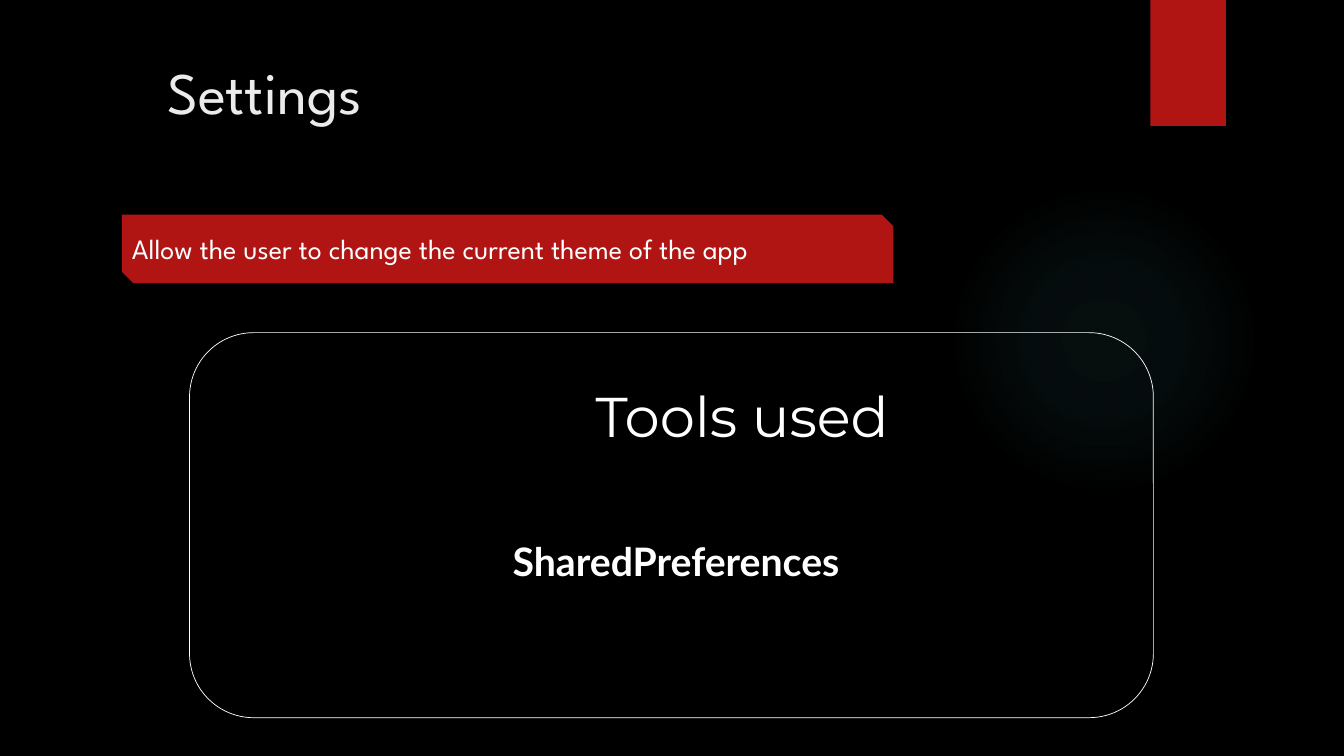
from dataclasses import dataclass
from typing import Optional

from lxml import etree
from pptx import Presentation
from pptx.dml.color import RGBColor
from pptx.enum import shapes, text
from pptx.oxml import ns
from pptx.util import Inches, Pt

HUES = {"night": "000000", "red": "B01513", "glow": "50B9C1",
        "white": "FFFFFF", "pale": "EBEBEB"}
GLOW = ((0, 7), (36, 6), (69, 0))  # stop position and opacity, in percent
KIND = shapes.MSO_SHAPE
Box = tuple[float, float, float, float]


@dataclass
class Form:
    kind: KIND
    box: Box
    fill: Optional[str] = None
    line: Optional[str] = None


@dataclass
class Label:
    words: str
    box: Box
    size: int
    font: str
    hue: str = "white"
    bold: bool = False
    align: text.PP_ALIGN = text.PP_ALIGN.LEFT


HALO = Form(KIND.OVAL, (9.41, 1.83, 3.08, 3.08))
FORMS = [
    Form(KIND.RECTANGLE, (11.41, 0, 0.75, 1.25), fill="red"),
    Form(KIND.SNIP_2_DIAG_RECTANGLE, (1.21, 2.13, 7.65, 0.68), fill="red"),
    Form(KIND.ROUNDED_RECTANGLE, (1.88, 3.3, 9.56, 3.82), line="white"),
]
LABELS = [
    Label("Settings", (1.56, 0.5, 10.29, 1.53), 42, "League Spartan", "pale"),
    Label("Allow the user to change the current theme of the app",
          (1.21, 2.25, 9.78, 0.56), 20, "League Spartan"),
    Label("Tools used", (5.81, 3.74, 4.42, 0.77), 40, "Montserrat"),
    Label("SharedPreferences", (3.74, 5.28, 5.93, 1.04), 28, "Lato",
          bold=True, align=text.PP_ALIGN.CENTER),
]


def tint(name: str) -> RGBColor:
    return RGBColor.from_string(HUES[name])


def draw(slide, form: Form):
    shape = slide.shapes.add_shape(form.kind, *map(Inches, form.box))
    shape.shadow.inherit = False
    if form.fill:
        shape.fill.solid()
        shape.fill.fore_color.rgb = tint(form.fill)
    else:
        shape.fill.background()
    if form.line:
        shape.line.color.rgb = tint(form.line)
        shape.line.width = Pt(0.5)
    else:
        shape.line.fill.background()
    return shape


def glow(shape) -> None:
    """Swap the empty fill for a radial gradient that fades outward."""
    old = shape.element.spPr.find(ns.qn("a:noFill"))
    grad = etree.Element(ns.qn("a:gradFill"))
    stops = etree.SubElement(grad, ns.qn("a:gsLst"))
    for place, alpha in GLOW:
        stop = etree.SubElement(stops, ns.qn("a:gs"), pos=str(place * 1000))
        hue = etree.SubElement(stop, ns.qn("a:srgbClr"), val=HUES["glow"])
        etree.SubElement(hue, ns.qn("a:alpha"), val=str(alpha * 1000))
    ring = etree.SubElement(grad, ns.qn("a:path"), path="circle")
    sides = dict.fromkeys("ltrb", "50000")
    etree.SubElement(ring, ns.qn("a:fillToRect"), sides)
    old.getparent().replace(old, grad)


def write(slide, label: Label) -> None:
    frame = slide.shapes.add_textbox(*map(Inches, label.box)).text_frame
    frame.word_wrap = True
    frame.text = label.words
    para = frame.paragraphs[0]
    para.alignment = label.align
    font = para.runs[0].font
    font.name = label.font
    font.size = Pt(label.size)
    font.bold = label.bold
    font.color.rgb = tint(label.hue)


def main() -> None:
    deck = Presentation()
    deck.slide_width, deck.slide_height = Inches(13.33), Inches(7.5)
    slide = deck.slides.add_slide(deck.slide_layouts[6])
    slide.background.fill.solid()
    slide.background.fill.fore_color.rgb = tint("night")
    glow(draw(slide, HALO))
    for form in FORMS:
        draw(slide, form)
    for label in LABELS:
        write(slide, label)
    deck.save("out.pptx")


if __name__ == "__main__":
    main()
